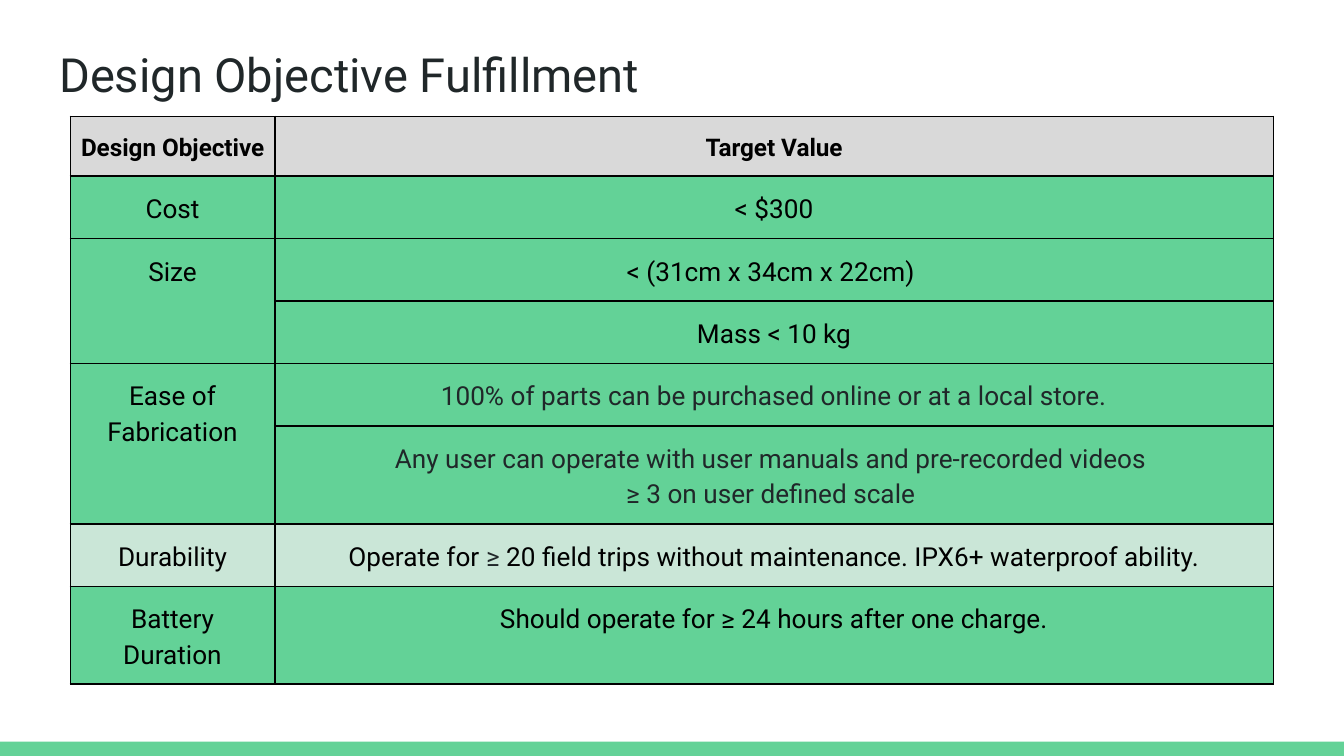
from pptx import Presentation
from pptx.dml.color import RGBColor
from pptx.enum.shapes import MSO_SHAPE as Shape
from pptx.enum.text import MSO_ANCHOR as Anchor, PP_ALIGN as Align
from pptx.oxml import parse_xml
from pptx.oxml.ns import nsdecls
from pptx.util import Pt

BLACK = RGBColor(0x00, 0x00, 0x00)
INK = RGBColor(0x20, 0x27, 0x29)
GREEN = RGBColor(0x63, 0xD2, 0x97)
PALE_GREEN = RGBColor(0xCA, 0xE6, 0xD7)
GRAY = RGBColor(0xD9, 0xD9, 0xD9)

FONT = "Roboto"
WIDTH, HEIGHT = 720, 405
COLUMN_WIDTHS = [109.5, 535]
HEADER_FORMAT = {"name": FONT, "size": Pt(13), "bold": True}
BODY_FORMAT = {"name": FONT, "size": Pt(14), "bold": False}
TITLE_FORMAT = {"name": FONT, "size": Pt(25.2), "bold": False}
CELL_FORMAT = {
    "margin_left": Pt(5), "margin_right": Pt(5),
    "margin_top": Pt(7.2), "margin_bottom": Pt(7.2),
    "vertical_anchor": Anchor.TOP,
}
TITLE_FRAME_FORMAT = {
    "margin_left": Pt(7.2), "margin_right": Pt(7.2),
    "margin_top": Pt(7.2), "margin_bottom": Pt(7.2),
    "vertical_anchor": Anchor.TOP, "word_wrap": True,
}

OBJECTIVES = [
    (32.1, GRAY, "Design Objective", [[("Target Value", BLACK)]]),
    (33.4, GREEN, "Cost", [[("< $300", BLACK)]]),
    (33.4, GREEN, "Size", [[("< (31cm x 34cm x 22cm) ", BLACK)]]),
    (33.4, GREEN, None, [[("Mass < 10 kg", BLACK)]]),
    (33.4, GREEN, "Ease of Fabrication",
     [[("100% of parts can be purchased online or at a local store.", INK)]]),
    (52.3, GREEN, None,
     [[("Any user can operate with user manuals and pre-recorded videos ", INK)],
      [("≥ 3 on user defined scale ", INK)]]),
    (33.4, PALE_GREEN, "Durability",
     [[("Operate for ", BLACK), ("≥", INK),
       (" 20 field trips without maintenance. IPX6+ waterproof ability.", BLACK)]]),
    (52.3, GREEN, "Battery Duration",
     [[("Should operate for ≥ 24 hours after one charge.", BLACK)]]),
]


def apply_format(target, values):
    for name, value in values.items():
        setattr(target, name, value)


def add_run(paragraph, text, color, font_format):
    run = paragraph.add_run()
    run.text = text
    apply_format(run.font, font_format)
    run.font.color.rgb = color


def add_borders(cell):
    properties = cell._tc.get_or_add_tcPr()
    for side in ("lnL", "lnR", "lnT", "lnB"):
        properties.append(parse_xml(
            f'<a:{side} {nsdecls("a")} w="{Pt(1)}"><a:solidFill>'
            f'<a:srgbClr val="{BLACK}"/></a:solidFill></a:{side}>'))


def fill_cell(cell, paragraphs, fill, font_format):
    apply_format(cell, CELL_FORMAT)
    add_borders(cell)
    cell.fill.solid()
    cell.fill.fore_color.rgb = fill
    frame = cell.text_frame
    for index, runs in enumerate(paragraphs):
        paragraph = frame.add_paragraph() if index else frame.paragraphs[0]
        apply_format(paragraph, {"alignment": Align.CENTER, "line_spacing": 1.15})
        for text, color in runs:
            add_run(paragraph, text, color, font_format)


def place(shape, box):
    for name, value in zip(("left", "top", "width", "height"), box):
        setattr(shape, name, Pt(value))


def add_footer_bar(slide, box):
    bar = slide.shapes.add_shape(Shape.RECTANGLE, *map(Pt, box))
    bar.shadow.inherit = False
    bar.fill.solid()
    bar.fill.fore_color.rgb = GREEN
    bar.line.fill.background()


def add_title(slide, box, text):
    title = slide.shapes.title
    place(title, box)
    apply_format(title.text_frame, TITLE_FRAME_FORMAT)
    paragraph = title.text_frame.paragraphs[0]
    paragraph.alignment = Align.LEFT
    paragraph.line_spacing = 1.0
    add_run(paragraph, text, INK, TITLE_FORMAT)


def add_objective_table(slide, box):
    frame = slide.shapes.add_table(len(OBJECTIVES), len(COLUMN_WIDTHS), *map(Pt, box))
    table = frame.table
    apply_format(table, {"first_row": False, "horz_banding": False})
    for column, width in zip(table.columns, COLUMN_WIDTHS):
        column.width = Pt(width)
    for index, (height, fill, objective, target) in enumerate(OBJECTIVES):
        table.rows[index].height = Pt(height)
        font_format = BODY_FORMAT if index else HEADER_FORMAT
        label = [[(objective, BLACK)]] if objective else []
        fill_cell(table.cell(index, 0), label, fill, font_format)
        fill_cell(table.cell(index, 1), target, fill, font_format)
        if objective is None:
            table.cell(index - 1, 0).merge(table.cell(index, 0))


def main():
    presentation = Presentation()
    presentation.slide_width = Pt(WIDTH)
    presentation.slide_height = Pt(HEIGHT)
    slide = presentation.slides.add_slide(presentation.slide_layouts[5])
    add_footer_bar(slide, (0, HEIGHT - 7.7, WIDTH, 7.7))
    table_height = sum(row[0] for row in OBJECTIVES)
    add_objective_table(slide, (37.7, 62.3, sum(COLUMN_WIDTHS), table_height))
    add_title(slide, (24.5, 17.3, 671, 45.4), "Design Objective Fulfillment")
    presentation.save("out.pptx")


if __name__ == "__main__":
    main()
